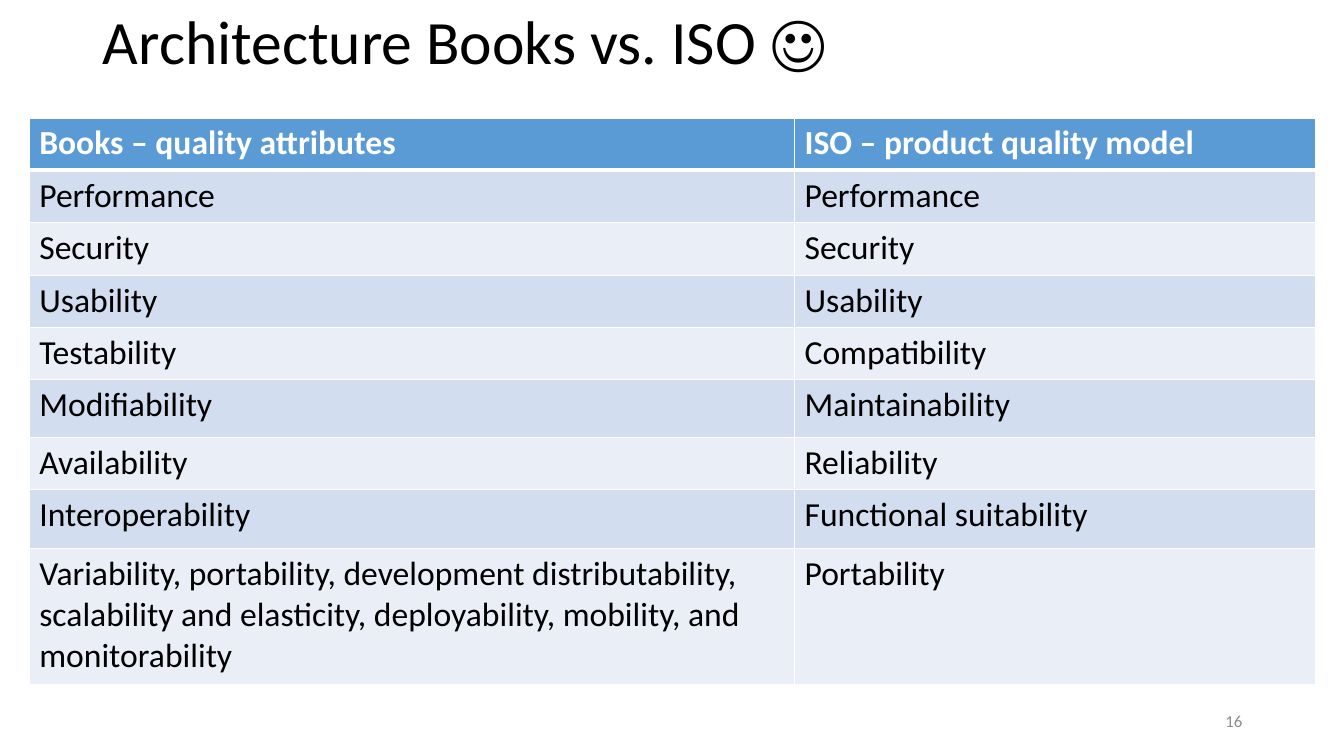
import dataclasses

import lxml.etree
import pptx
import pptx.dml.color
import pptx.enum.text
import pptx.oxml.ns
import pptx.util

TITLE = "Architecture Books vs. ISO ☺"
SLIDE_NUMBER = "16"
ROWS = [
    ("Books – quality attributes", "ISO – product quality model"),
    ("Performance", "Performance"),
    ("Security", "Security"),
    ("Usability", "Usability"),
    ("Testability", "Compatibility"),
    ("Modifiability", "Maintainability"),
    ("Availability", "Reliability"),
    ("Interoperability", "Functional suitability"),
    (
        "Variability, portability, development distributability,\n"
        "scalability and elasticity, deployability, mobility, and monitorability",
        "Portability",
    ),
]
COLUMN_WIDTHS = (7.59, 5.17)
ROW_HEIGHTS = (0.52, 0.52, 0.52, 0.52, 0.52, 0.57, 0.52, 0.58, 1.35)


@dataclasses.dataclass(frozen=True)
class Theme:
    font: str = "Calibri"
    title_size: int = 44
    table_size: int = 24
    number_size: int = 12
    text: str = "000000"
    muted: str = "8C8C8C"
    white: str = "FFFFFF"
    header: str = "5B9BD5"
    bands: tuple = ("D2DEEF", "EAEFF7")
    border: int = 1
    header_border: int = 3


THEME = Theme()
Inches = pptx.util.Inches


def color(value):
    return pptx.dml.color.RGBColor.from_string(value)


def style_paragraph(paragraph, size, value, bold=False):
    font = paragraph.font
    font.name = THEME.font
    font.size = pptx.util.Pt(size)
    font.bold = bold
    font.color.rgb = color(value)


def set_borders(cell, top, bottom):
    properties = cell._tc.get_or_add_tcPr()
    widths = {"lnL": THEME.border, "lnR": THEME.border, "lnT": top, "lnB": bottom}
    qualified = pptx.oxml.ns.qn
    for position, (side, width) in enumerate(widths.items()):
        line = lxml.etree.Element(qualified(f"a:{side}"), w=str(pptx.util.Pt(width)))
        fill = lxml.etree.SubElement(line, qualified("a:solidFill"))
        lxml.etree.SubElement(fill, qualified("a:srgbClr"), val=THEME.white)
        properties.insert(position, line)


def add_title(slide):
    title = slide.shapes.title
    title.left, title.top = Inches(0.92), Inches(-0.28)
    title.width, title.height = Inches(11.5), Inches(1.45)
    frame = title.text_frame
    frame.text = TITLE
    frame.vertical_anchor = pptx.enum.text.MSO_ANCHOR.MIDDLE
    paragraph = frame.paragraphs[0]
    paragraph.alignment = pptx.enum.text.PP_ALIGN.LEFT
    paragraph.line_spacing = 0.9
    style_paragraph(paragraph, THEME.title_size, THEME.text)


def add_comparison(slide):
    table = slide.shapes.add_table(
        len(ROWS), len(COLUMN_WIDTHS), Inches(0.29), Inches(1.17),
        Inches(sum(COLUMN_WIDTHS)), Inches(sum(ROW_HEIGHTS)),
    ).table
    for column, width in zip(table.columns, COLUMN_WIDTHS):
        column.width = Inches(width)
    for index, (row, height, texts) in enumerate(zip(table.rows, ROW_HEIGHTS, ROWS)):
        row.height = Inches(height)
        is_header = index == 0
        background = THEME.header if is_header else THEME.bands[(index - 1) % 2]
        top = THEME.header_border if index == 1 else THEME.border
        bottom = THEME.header_border if is_header else THEME.border
        for cell, text in zip(row.cells, texts):
            cell.text = text
            cell.fill.solid()
            cell.fill.fore_color.rgb = color(background)
            set_borders(cell, top, bottom)
            for paragraph in cell.text_frame.paragraphs:
                style_paragraph(
                    paragraph, THEME.table_size,
                    THEME.white if is_header else THEME.text, is_header,
                )


def add_slide_number(slide):
    box = slide.shapes.add_textbox(Inches(9.42), Inches(6.95), Inches(3), Inches(0.4))
    frame = box.text_frame
    frame.word_wrap = True
    frame.vertical_anchor = pptx.enum.text.MSO_ANCHOR.MIDDLE
    frame.text = SLIDE_NUMBER
    paragraph = frame.paragraphs[0]
    paragraph.alignment = pptx.enum.text.PP_ALIGN.RIGHT
    style_paragraph(paragraph, THEME.number_size, THEME.muted)


def main():
    presentation = pptx.Presentation()
    presentation.slide_width = Inches(13.33)
    presentation.slide_height = Inches(7.5)
    slide = presentation.slides.add_slide(presentation.slide_layouts.get_by_name("Title Only"))
    add_title(slide)
    add_slide_number(slide)
    add_comparison(slide)
    presentation.save("out.pptx")


if __name__ == "__main__":
    main()
